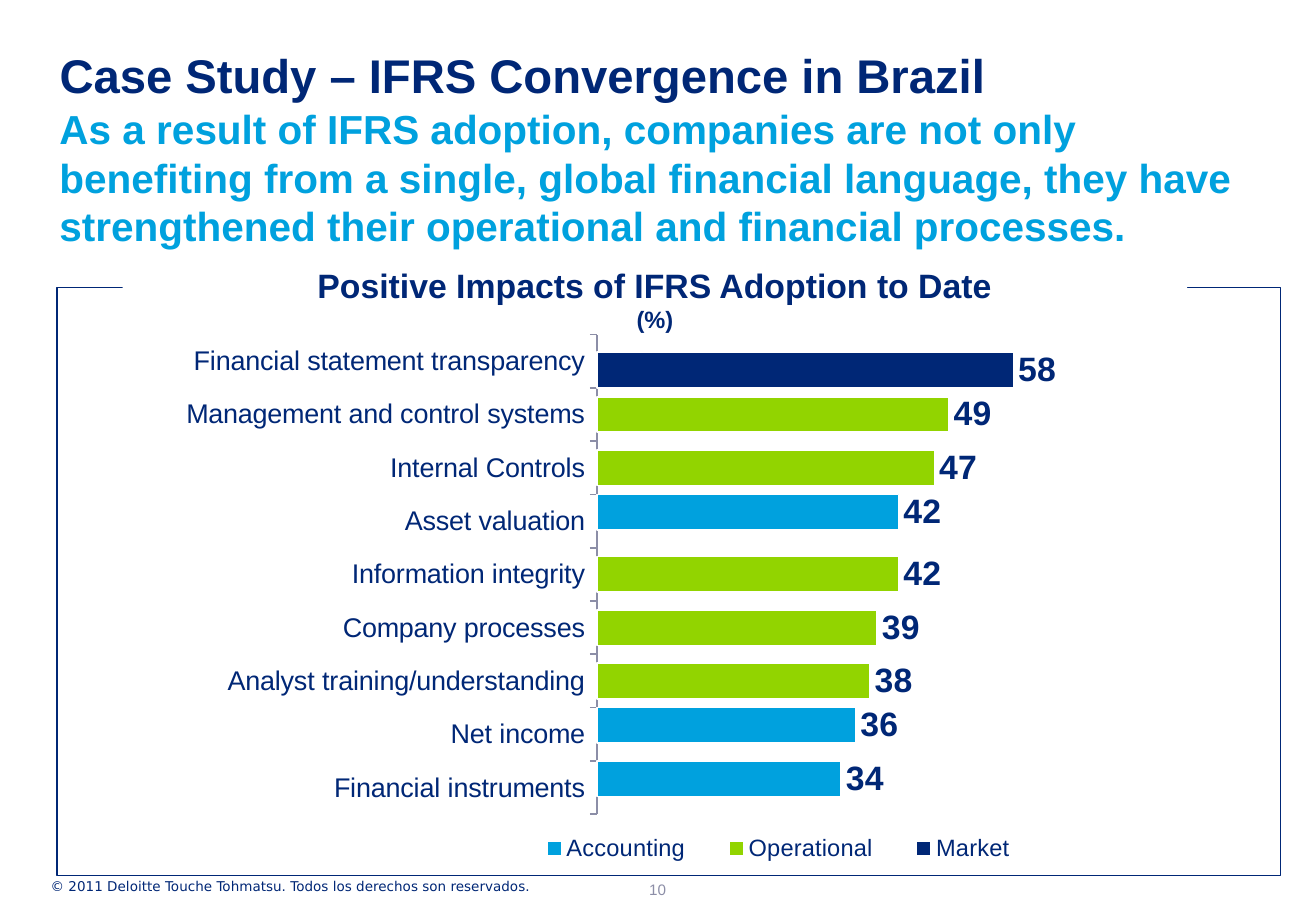
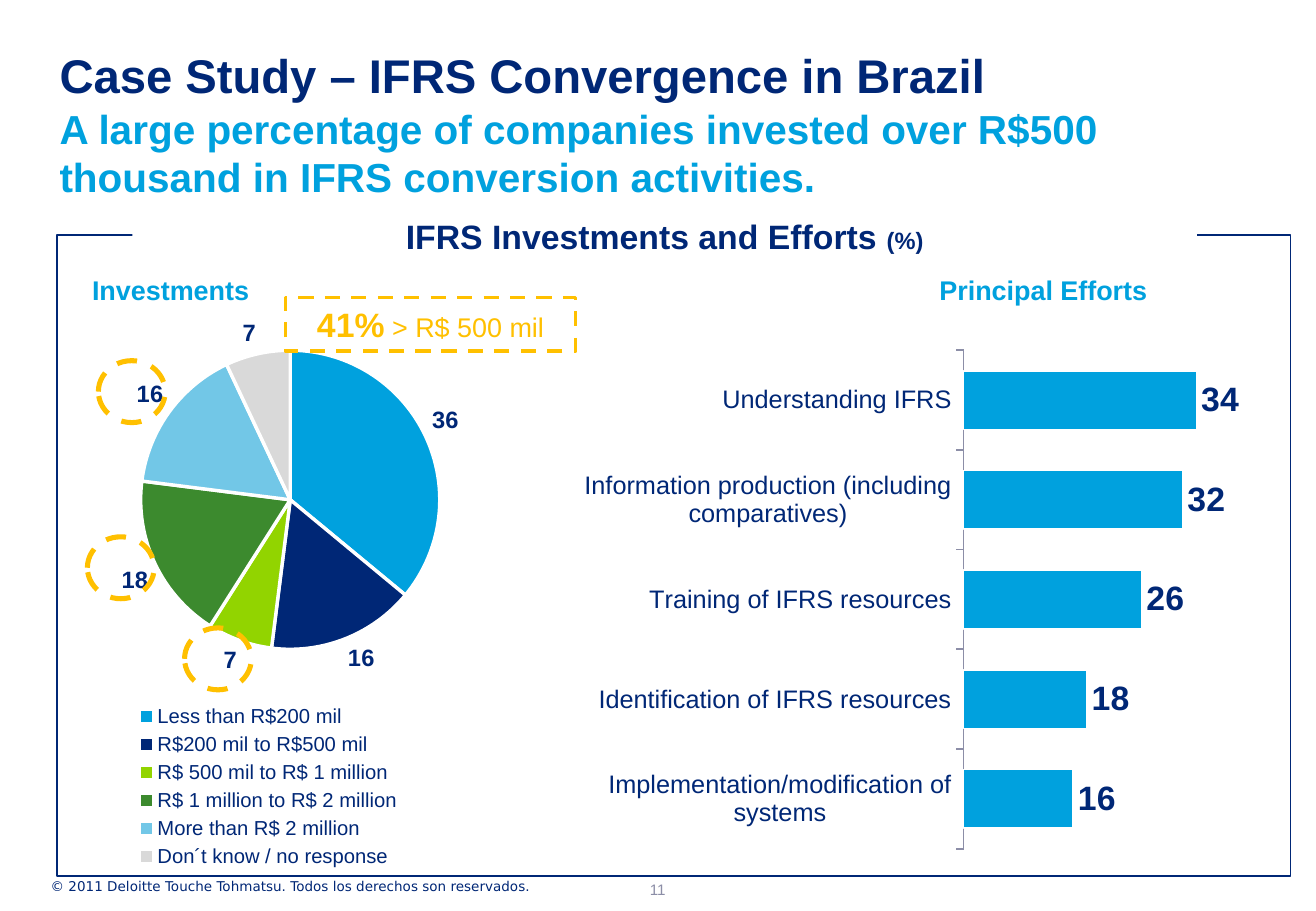
from dataclasses import dataclass

from lxml import etree
from pptx import Presentation
from pptx.chart.data import CategoryChartData
from pptx.dml.color import RGBColor
from pptx.enum.chart import XL_CHART_TYPE as Chart
from pptx.enum.chart import XL_LABEL_POSITION as LabelAt
from pptx.enum.chart import XL_LEGEND_POSITION as LegendAt
from pptx.enum.chart import XL_TICK_MARK as Tick
from pptx.enum.dml import MSO_LINE_DASH_STYLE as Dash
from pptx.enum.shapes import MSO_SHAPE as Preset
from pptx.enum.text import MSO_ANCHOR as Anchor
from pptx.enum.text import PP_ALIGN as Align
from pptx.oxml import parse_xml
from pptx.oxml.ns import nsdecls, qn
from pptx.util import Pt


@dataclass(frozen=True)
class Theme:
    navy: str = "002776"
    sky: str = "00A1DE"
    lime: str = "92D400"
    green: str = "3C8A2E"
    pale: str = "72C7E7"
    silver: str = "D9D9D9"
    amber: str = "FFC000"
    grey: str = "8C8EA7"
    white: str = "FFFFFF"
    font: str = "Arial"
    footer_font: str = "DejaVu Sans"
    title: float = 28
    message: float = 24
    heading: float = 20
    label: float = 16
    unit: float = 14
    legend: float = 12
    page: float = 9
    footer: float = 8


T = Theme()
TITLE = "Case Study – IFRS Convergence in Brazil"
COPYRIGHT = "© 2011 Deloitte Touche Tohmatsu. Todos los derechos son reservados."
HEADING = dict(size=T.heading, color=T.navy, bold=True)
UNIT = dict(size=T.unit, color=T.navy, bold=True)
SUBHEADING = dict(size=T.label, color=T.sky, bold=True)

IMPACTS = {
    "page": "10",
    "message": "As a result of IFRS adoption, companies are not only benefiting from a "
               "single, global financial language, they have strengthened their "
               "operational and financial processes.",
    "message_box": (35.3, 61.2, 723, 87),
    "frame": (34, 170.5, 725, 348.5),
    "heading_box": (72.7, 157, 631, 41),
    "heading": [[("Positive Impacts of IFRS Adoption to Date", HEADING)], [("(%)", UNIT)]],
}
EFFORTS = {
    "page": "11",
    "message": "A large percentage of companies invested over R$500 thousand in IFRS "
               "conversion activities.",
    "message_box": (35.3, 61.2, 711, 58),
    "frame": (34, 139.5, 731, 380),
    "heading_box": (78.5, 128, 631, 24.5),
    "heading": [[("IFRS Investments and Efforts ", HEADING), ("(%)", UNIT)]],
}
IMPACT_ROWS = [
    ("Financial instruments", "Accounting", 34),
    ("Net income", "Accounting", 36),
    ("Analyst training/understanding", "Operational", 38),
    ("Company processes", "Operational", 39),
    ("Information integrity", "Operational", 42),
    ("Asset valuation", "Accounting", 42),
    ("Internal Controls", "Operational", 47),
    ("Management and control systems", "Operational", 49),
    ("Financial statement transparency", "Market", 58),
]
IMPACT_COLORS = {"Market": T.navy, "Operational": T.lime, "Accounting": T.sky}
EFFORT_ROWS = [
    ("Implementation/modification of systems", 16),
    ("Identification of IFRS resources", 18),
    ("Training of IFRS resources", 26),
    ("Information production (including comparatives)", 32),
    ("Understanding IFRS", 34),
]
INVESTMENT_ROWS = [
    ("Less than R$200 mil", 36, T.sky),
    ("R$200 mil to R$500 mil", 16, T.navy),
    ("R$ 500 mil to R$ 1 million", 7, T.lime),
    ("R$ 1 million to R$ 2 million", 18, T.green),
    ("More than R$ 2 million", 16, T.pale),
    ("Don´t know / no response", 7, T.silver),
]
SUBHEADINGS = [
    ("Investments", (39.6, 162, 123, 19.5)),
    ("Principal Efforts", (534, 162, 169, 19.5)),
]
CALLOUT = [[("41%", dict(size=T.heading, color=T.amber, bold=True)),
            (" > R$ 500 mil", dict(size=T.label, color=T.amber, bold=False))]]
CALLOUT_BOX = (169.2, 176.4, 172, 31.7)
RING_CORNERS = [(58.3, 213.8), (51.8, 318.2), (109.4, 372.2)]
RING_SIZE = (39.6, 36.7)


def points(box):
    return [Pt(length) for length in box]


def apply(target, formats):
    for name, value in formats.items():
        setattr(target, name, value)


def style(font, size, color=T.navy, bold=False, name=T.font):
    apply(font, dict(size=Pt(size), bold=bold, name=name))
    font.color.rgb = RGBColor.from_string(color)


def paint(fill, color):
    if color is None:
        fill.background()
    else:
        fill.solid()
        fill.fore_color.rgb = RGBColor.from_string(color)


def outline(line, color, width=1, dash=None):
    paint(line.fill, color)
    if color:
        line.width = Pt(width)
    if dash:
        line.dash_style = dash


def write(shape, paragraphs, align=Align.LEFT, anchor=Anchor.TOP, inset=(0, 0), spacing=None):
    frame = shape.text_frame
    across, down = points(inset)
    apply(frame, dict(word_wrap=True, vertical_anchor=anchor, margin_left=across,
                      margin_right=across, margin_top=down, margin_bottom=down))
    for index, runs in enumerate(paragraphs):
        paragraph = frame.add_paragraph() if index else frame.paragraphs[0]
        apply(paragraph, dict(alignment=align, space_before=Pt(0)))
        if spacing:
            paragraph.line_spacing = Pt(spacing)
        for text, formats in runs:
            run = paragraph.add_run()
            run.text = text
            style(run.font, **formats)


def add_text(slide, box, text, formats, **layout):
    write(slide.shapes.add_textbox(*points(box)), [[(text, formats)]], **layout)


def add_panel(slide, box, fill=None, line=None, preset=Preset.RECTANGLE, **stroke):
    panel = slide.shapes.add_shape(preset, *points(box))
    panel.shadow.inherit = False
    paint(panel.fill, fill)
    outline(panel.line, line, **stroke)
    return panel


def place(parent, index, box, inner=False):
    for old in parent.findall(qn("c:layout")):
        parent.remove(old)
    layout = parse_xml(f"<c:layout {nsdecls('c')}><c:manualLayout/></c:layout>")
    parts = [("layoutTarget", "inner")] if inner else []
    parts += [("xMode", "edge"), ("yMode", "edge"), *zip("xywh", box)]
    for name, value in parts:
        etree.SubElement(layout[0], qn(f"c:{name}")).set("val", str(value))
    parent.insert(index, layout)


def add_chart(slide, kind, box, plot_box, categories, series, size, label_size,
              edge=1):
    data = CategoryChartData()
    data.categories = categories
    for name, values in series:
        data.add_series(name, values)
    chart = slide.shapes.add_chart(kind, *points(box), data).chart
    apply(chart, dict(has_title=False, has_legend=False))
    style(chart.font, size)
    space = chart._chartSpace
    space.find(qn("c:chart")).addnext(parse_xml(
        f"<c:spPr {nsdecls('c', 'a')}><a:noFill/><a:ln><a:noFill/></a:ln></c:spPr>"))
    place(space.find(f".//{qn('c:plotArea')}"), 0, plot_box, inner=True)
    for entry in chart.plots[0].series:
        outline(entry.format.line, T.white, edge)
        labels = entry.data_labels
        apply(labels, dict(show_value=True, position=LabelAt.OUTSIDE_END))
        style(labels.font, label_size, bold=True)
    return chart


def add_bars(slide, box, plot_box, categories, series, colors, size, top, gap, overlap=0):
    chart = add_chart(slide, Chart.BAR_CLUSTERED, box, plot_box, categories, series,
                      size, T.heading)
    plot = chart.plots[0]
    apply(plot, dict(gap_width=gap, overlap=overlap, vary_by_categories=False))
    for entry, color in zip(plot.series, colors):
        paint(entry.format.fill, color)
    apply(chart.value_axis, dict(visible=False, has_major_gridlines=False,
                                 minimum_scale=0, maximum_scale=top))
    axis = chart.category_axis
    apply(axis, dict(major_tick_mark=Tick.OUTSIDE, minor_tick_mark=Tick.NONE,
                     has_major_gridlines=False))
    outline(axis.format.line, T.grey)
    style(axis.tick_labels.font, size)
    return chart


def add_legend(chart, position, size, box):
    chart.has_legend = True
    legend = chart.legend
    apply(legend, dict(position=position, include_in_layout=False))
    style(legend.font, size)
    place(legend._element, 1, box)


def start_slide(prs, content):
    slide = prs.slides.add_slide(prs.slide_layouts[5])
    title = slide.shapes.title
    apply(title, dict(zip(("left", "top", "width", "height"), points((35.3, 35.3, 711, 26)))))
    write(title, [[(TITLE, dict(size=T.title, bold=True))]], anchor=Anchor.BOTTOM, spacing=26)
    add_text(slide, content["message_box"], content["message"],
             dict(size=T.message, color=T.sky, bold=True), spacing=29)
    add_text(slide, (23, 517, 402, 17.3), COPYRIGHT,
             dict(size=T.footer, name=T.footer_font), inset=(7.2, 3.6))
    add_text(slide, (298.8, 507.6, 182, 28.8), content["page"],
             dict(size=T.page, color=T.grey), align=Align.CENTER,
             anchor=Anchor.BOTTOM, inset=(7.2, 3.6))
    add_panel(slide, content["frame"], line=T.navy)
    write(add_panel(slide, content["heading_box"], fill=T.white), content["heading"],
          align=Align.CENTER)
    return slide


def build_impacts(prs):
    slide = start_slide(prs, IMPACTS)
    series = [(group, [value if owner == group else None for _, owner, value in IMPACT_ROWS])
              for group in IMPACT_COLORS]
    chart = add_bars(slide, (48, 188.5, 689, 351.5), (0.444, 0.028, 0.556, 0.809),
                     [row[0] for row in IMPACT_ROWS], series, IMPACT_COLORS.values(),
                     size=T.label, top=90, gap=0, overlap=75)
    add_legend(chart, LegendAt.BOTTOM, T.unit, (0.37, 0.86, 0.46, 0.07))


def build_efforts(prs):
    slide = start_slide(prs, EFFORTS)
    names, values = zip(*EFFORT_ROWS)
    add_bars(slide, (322.5, 196.5, 512.6, 317.5), (0.485, 0.035, 0.515, 0.931),
             names, [("Series 1", values)], [T.sky], size=15, top=65, gap=70)
    names, values, colors = zip(*INVESTMENT_ROWS)
    pie = add_chart(slide, Chart.PIE, (52, 179.3, 325.4, 345.6), (0.074, 0.082, 0.59, 0.513),
                    names, [("Series 1", values)], size=18, label_size=T.unit, edge=2)
    pie.plots[0].vary_by_categories = True
    for index, color in enumerate(colors):
        wedge = pie.plots[0].series[0].points[index].format
        paint(wedge.fill, color)
        outline(wedge.line, T.white, 2)
    add_legend(pie, LegendAt.LEFT, T.legend, (0.07, 0.68, 0.52, 0.3))
    for text, box in SUBHEADINGS:
        write(add_panel(slide, box, fill=T.white), [[(text, SUBHEADING)]], align=Align.CENTER)
    for corner in RING_CORNERS:
        add_panel(slide, corner + RING_SIZE, line=T.amber, preset=Preset.OVAL,
                  width=3, dash=Dash.DASH)
    callout = add_panel(slide, CALLOUT_BOX, line=T.amber, width=2.25, dash=Dash.DASH)
    write(callout, CALLOUT, align=Align.CENTER, anchor=Anchor.MIDDLE)


def main():
    prs = Presentation()
    apply(prs, dict(slide_width=Pt(780), slide_height=Pt(540)))
    build_impacts(prs)
    build_efforts(prs)
    prs.save("out.pptx")


if __name__ == "__main__":
    main()
